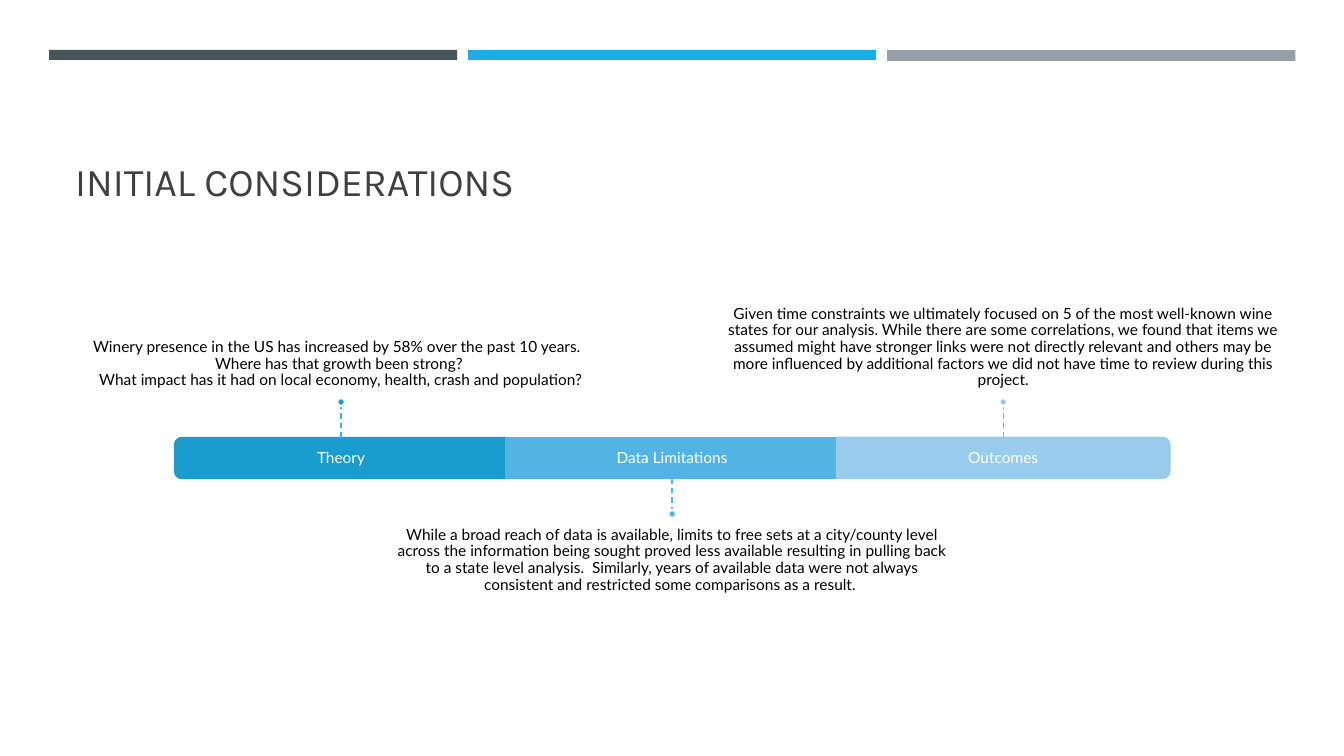
import pptx
import pptx.dml.color
import pptx.enum.dml
import pptx.enum.shapes
import pptx.enum.text
import pptx.oxml
import pptx.util

PX = 914400 / 100.8
SHAPE = pptx.enum.shapes.MSO_SHAPE
ANCHOR = pptx.enum.text.MSO_ANCHOR
ALIGN = pptx.enum.text.PP_ALIGN

# Timeline geometry in px
FIRST_CENTER, PITCH = 341, 331
SEG_W, SEG_H, MID_Y = 332, 40, 458
STEM, DOT = 32, 8
NOTE_W, NOTE_H = 552, 140

BARS = [("465359", 10), ("1CADE4", 10), ("969FA7", 11)]

# Label, fill, stem colour, rotation of the rounded end (0 = square), note above, note lines
STAGES = [
    ("Theory", "199DCF", "36B3E9", 270, True, [
        "Winery presence in the US has increased by 58% over the past 10 years.  ",
        "Where has that growth been strong? ",
        "What impact has it had on local economy, health, crash and population?"]),
    ("Data Limitations", "52B3E5", "48B8EC", 0, False, [
        "While a broad reach of data is available, limits to free sets at a "
        "city/county level across the information being sought proved less "
        "available resulting in pulling back to a state level analysis.  "
        "Similarly, years of available data were not always consistent and "
        "restricted some comparisons as a result. "]),
    ("Outcomes", "99CBEC", "5ABEEF", 90, True, [
        "Given time constraints we ultimately focused on 5 of the most "
        "well-known wine states for our analysis. While there are some "
        "correlations, we found that items we assumed might have stronger links "
        "were not directly relevant and others may be more influenced by "
        "additional factors we did not have time to review during this project."]),
]


def px(*values):
    return [pptx.util.Emu(round(v * PX)) for v in values]


def rgb(value):
    return pptx.dml.color.RGBColor.from_string(value)


def set_attrs(obj, fmt):
    for name, value in fmt.items():
        setattr(obj, name, value)


def set_font(r, name, size, color):
    set_attrs(r.font, {"name": name, "size": pptx.util.Pt(size)})
    r.font.color.rgb = rgb(color)


def add_block(shapes, kind, box, fill, line=None, rotation=0):
    s = shapes.add_shape(kind, *px(*box))
    s.shadow.inherit = False
    s.rotation = rotation
    s.fill.solid()
    s.fill.fore_color.rgb = rgb(fill)
    if line:
        s.line.color.rgb = rgb(line)
        s.line.width = pptx.util.Pt(1.75)
    else:
        s.line.fill.background()
    return s


def add_text(shapes, box, lines, color, anchor, insets):
    tf = shapes.add_textbox(*px(*box)).text_frame
    left, top, right, bottom = px(*insets)
    set_attrs(tf, {"word_wrap": True, "vertical_anchor": anchor,
                   "margin_left": left, "margin_top": top,
                   "margin_right": right, "margin_bottom": bottom})
    p = tf.paragraphs[0]
    set_attrs(p, {"alignment": ALIGN.CENTER, "line_spacing": 0.9})
    for i, line in enumerate(lines):
        if i:
            p.add_line_break()
        r = p.add_run()
        r.text = line
        set_font(r, "Lato", 11, color)


def add_stem(shapes, x, y1, y2, color):
    c = shapes.add_connector(pptx.enum.shapes.MSO_CONNECTOR.STRAIGHT, *px(x, y1, x, y2))
    c.line.color.rgb = rgb(color)
    set_attrs(c.line, {"width": pptx.util.Pt(1),
                       "dash_style": pptx.enum.dml.MSO_LINE.DASH})
    c._element.spPr.append(pptx.oxml.parse_xml(
        '<a:effectLst xmlns:a="http://schemas.openxmlformats.org/drawingml/2006/main"/>'))
    return c


def add_title(slide, text):
    s = slide.shapes.title
    left, top, width, height = px(65, 78, 1216, 131)
    set_attrs(s, {"left": left, "top": top, "width": width, "height": height})
    tf = s.text_frame
    set_attrs(tf, {"word_wrap": True, "vertical_anchor": ANCHOR.BOTTOM,
                   "auto_size": pptx.enum.text.MSO_AUTO_SIZE.NONE})
    p = tf.paragraphs[0]
    p.alignment = ALIGN.LEFT
    r = p.add_run()
    r.text = text
    set_font(r, "Karla", 28, "404040")


def add_stage(shapes, x, label, fill, stem, rotation, above, lines):
    # Segment of the bar; rounded ends are upright shapes turned sideways
    w, h = (SEG_H, SEG_W) if rotation else (SEG_W, SEG_H)
    kind = SHAPE.ROUND_2_SAME_RECTANGLE if rotation else SHAPE.RECTANGLE
    seg = add_block(shapes, kind, (x - w / 2, MID_Y - h / 2, w, h), fill, fill, rotation)
    add_text(shapes, (x - SEG_W / 2, MID_Y - 18, SEG_W, 36), [label], "FFFFFF",
             ANCHOR.MIDDLE, (9, 9, 9, 9))

    # Note, dashed stem and dot
    side = -1 if above else 1
    edge = MID_Y + side * SEG_H / 2
    tip = edge + side * STEM
    far = tip + side * DOT
    note_top = far - NOTE_H if above else far
    add_text(shapes, (x - NOTE_W / 2, note_top, NOTE_W, NOTE_H), lines, "000000",
             ANCHOR.BOTTOM if above else ANCHOR.TOP,
             (0, 0, 0, 9) if above else (0, 9, 0, 0))
    c = add_stem(shapes, x, edge, tip, stem)
    if not rotation:
        c.begin_connect(seg, 0 if above else 2)
    add_block(shapes, SHAPE.OVAL, (x - DOT / 2, min(tip, far), DOT, DOT), fill, "FFFFFF")


def main():
    prs = pptx.Presentation()
    set_attrs(prs, {"slide_width": pptx.util.Inches(13.33),
                    "slide_height": pptx.util.Inches(7.5)})
    slide = prs.slides.add_slide(prs.slide_layouts[5])

    # Header bars and title
    for i, (color, height) in enumerate(BARS):
        add_block(slide.shapes, SHAPE.RECTANGLE, (49 + 419 * i, 50, 408, height), color)
    add_title(slide, "INITIAL CONSIDERATIONS")

    # Timeline
    timeline = slide.shapes.add_group_shape()
    for i, stage in enumerate(STAGES):
        add_stage(timeline.shapes, FIRST_CENTER + PITCH * i, *stage)

    prs.save("out.pptx")


if __name__ == "__main__":
    main()
